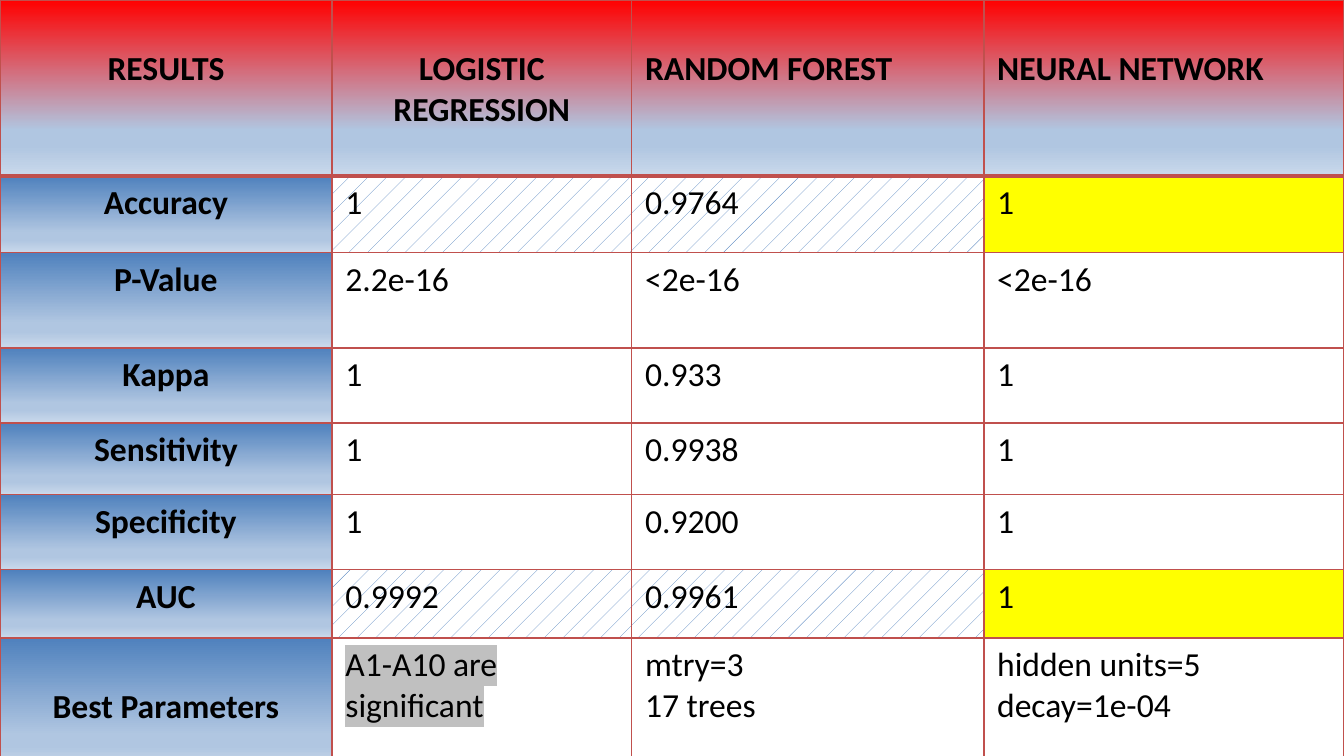
from dataclasses import dataclass
from itertools import product

from pptx import Presentation
from pptx.dml.color import RGBColor
from pptx.enum.dml import MSO_PATTERN
from pptx.enum.text import PP_ALIGN
from pptx.oxml import parse_xml
from pptx.oxml.ns import nsdecls
from pptx.util import Inches, Pt

CENTER, LEFT = PP_ALIGN.CENTER, PP_ALIGN.LEFT
DOTS = MSO_PATTERN.PERCENT_5


@dataclass(frozen=True)
class Theme:
    """Colours and type sizes of the results table."""
    font: str = "Calibri"
    size: int = 18
    ink: str = "000000"
    paper: str = "FFFFFF"
    border: str = "C0504D"
    header: str = "FF0000"
    label: str = "4F81BD"
    best: str = "FFFF00"
    marker: str = "C0C0C0"
    fade: tuple = ((74, "B0C6E1"), (83, "B0C6E1"), (100, "CAD9EB"))


class ResultsSlide:
    """Draws table parts on one slide in one theme."""

    def __init__(self, deck, theme):
        self.deck, self.theme = deck, theme
        self.slide = deck.slides.add_slide(deck.slide_layouts[6])

    def table(self, column_shares, row_shares):
        """Add a full-slide table sized in percent of the slide."""
        width, height = self.deck.slide_width, self.deck.slide_height
        frame = self.slide.shapes.add_table(
            len(row_shares), len(column_shares), 0, 0, width, height)
        table = frame.table
        table.horz_banding = False
        for column, share in zip(table.columns, column_shares):
            column.width = int(width * share / 100)
        for row, share in zip(table.rows, row_shares):
            row.height = int(height * share / 100)
        return table

    def borders(self, cell, **widths):
        """Outline a cell with the given width in points for each side."""
        properties = cell._tc.get_or_add_tcPr()
        for side, points in widths.items():
            properties.append(parse_xml(
                f'<a:ln{side} {nsdecls("a")} w="{Pt(points)}"><a:solidFill>'
                f'<a:srgbClr val="{self.theme.border}"/></a:solidFill></a:ln{side}>'))

    def fade(self, cell, top):
        """Fill a cell with a downward gradient from the top colour."""
        stops = "".join(
            f'<a:gs pos="{share * 1000}"><a:srgbClr val="{colour}"/></a:gs>'
            for share, colour in ((0, top), *self.theme.fade))
        cell._tc.get_or_add_tcPr().append(parse_xml(
            f'<a:gradFill {nsdecls("a")} rotWithShape="1"><a:gsLst>{stops}</a:gsLst>'
            '<a:lin ang="5400000" scaled="0"/></a:gradFill>'))

    def solid(self, cell, colour):
        """Fill a cell with one colour."""
        cell.fill.solid()
        cell.fill.fore_color.rgb = RGBColor.from_string(colour)

    def dotted(self, cell):
        """Fill a cell with a light pattern."""
        cell.fill.patterned()
        cell.fill.pattern = DOTS
        cell.fill.fore_color.rgb = RGBColor.from_string(self.theme.label)
        cell.fill.back_color.rgb = RGBColor.from_string(self.theme.paper)

    def text(self, cell, wording, bold=False, align=LEFT, lowered=False, marked=False):
        """Write a cell, optionally one line lower or highlighted."""
        cell.margin_top = Inches(0.36 if lowered else 0.05)
        cell.text_frame.text = wording
        style = {"size": Pt(self.theme.size), "bold": bold, "name": self.theme.font}
        for paragraph in cell.text_frame.paragraphs:
            paragraph.alignment = align
            for run in paragraph.runs:
                run.font.color.rgb = RGBColor.from_string(self.theme.ink)
                for attribute, value in style.items():
                    setattr(run.font, attribute, value)
                if marked:
                    run.font._element.solidFill.addnext(parse_xml(
                        f'<a:highlight {nsdecls("a")}>'
                        f'<a:srgbClr val="{self.theme.marker}"/></a:highlight>'))


COLUMN_SHARES = (24.7, 22.3, 26.2, 26.8)
ROW_SHARES = (23.3, 10.13, 12.6, 9.96, 9.42, 9.96, 9.07, 17.25)
RESULTS = (
    ("RESULTS", "LOGISTIC REGRESSION", "RANDOM FOREST", "NEURAL NETWORK"),
    ("Accuracy", "1", "0.9764", "1"),
    ("P-Value", "2.2e-16", "<2e-16", "<2e-16"),
    ("Kappa", "1", "0.933", "1"),
    ("Sensitivity", "1", "0.9938", "1"),
    ("Specificity", "1", "0.9200", "1"),
    ("AUC", "0.9992", "0.9961", "1"),
    ("Best Parameters", "A1-A10 are significant", "mtry=3\n17 trees",
     "hidden units=5\ndecay=1e-04"),
)
KEY_METRICS = ("Accuracy", "AUC")


def main():
    """Build the model results slide."""
    deck = Presentation()
    deck.slide_width = Inches(10)
    deck.slide_height = deck.slide_width * 9 // 16
    theme = Theme()
    page = ResultsSlide(deck, theme)
    table = page.table(COLUMN_SHARES, ROW_SHARES)
    last_row, last_column = len(RESULTS) - 1, len(COLUMN_SHARES) - 1

    for row, column in product(range(len(RESULTS)), range(len(COLUMN_SHARES))):
        cell = table.cell(row, column)
        is_header, is_label = row == 0, column == 0
        page.borders(cell, L=1, R=1, T=2 if row == 1 else 1, B=2 if is_header else 1)
        if is_header or is_label:
            page.fade(cell, theme.header if is_header else theme.label)
        elif RESULTS[row][0] not in KEY_METRICS:
            page.solid(cell, theme.paper)
        elif column == last_column:
            page.solid(cell, theme.best)
        else:
            page.dotted(cell)
        page.text(
            cell, RESULTS[row][column],
            bold=is_header or is_label,
            align=CENTER if is_label or (is_header and column == 1) else LEFT,
            lowered=is_header or (is_label and row == last_row),
            marked=row == last_row and column == 1)

    deck.save("out.pptx")


if __name__ == "__main__":
    main()
